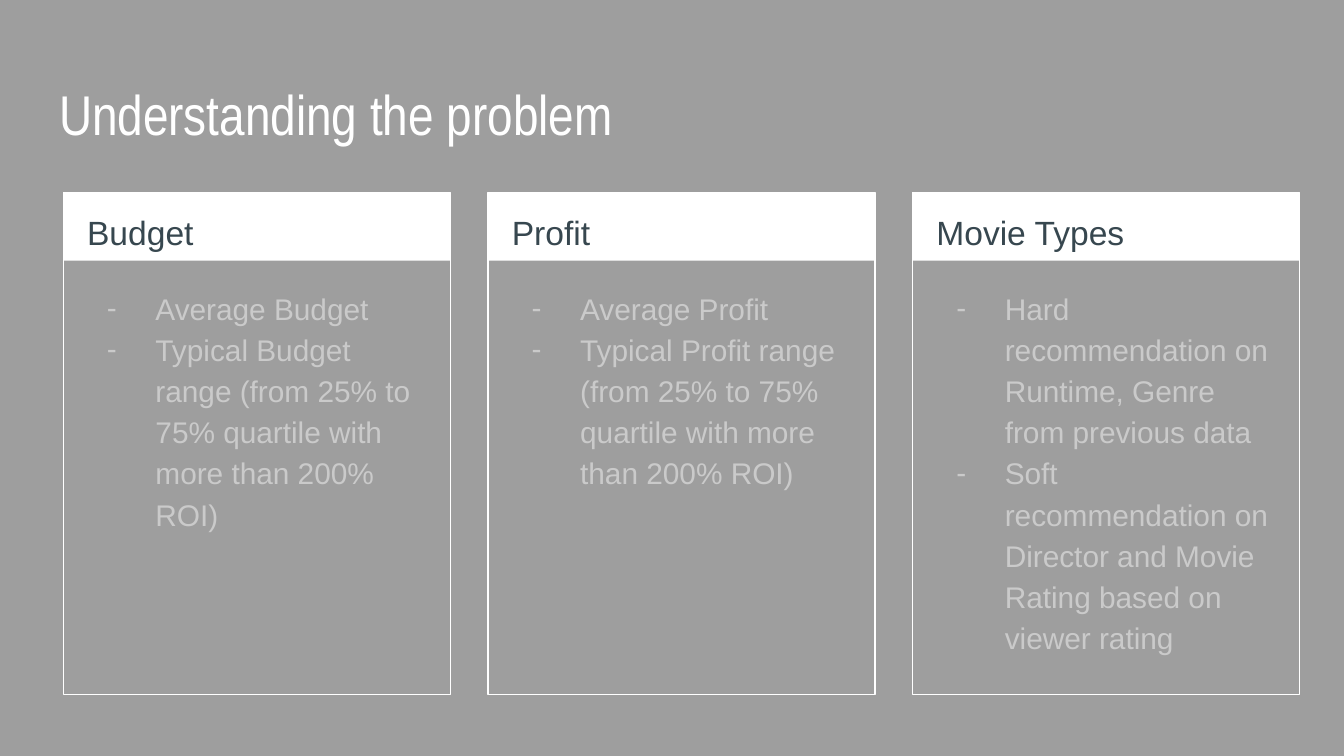
from dataclasses import dataclass

from lxml import etree
from pptx import Presentation
from pptx.dml.color import RGBColor
from pptx.enum.shapes import MSO_SHAPE
from pptx.enum.text import MSO_ANCHOR, MSO_AUTO_SIZE, PP_ALIGN
from pptx.oxml.ns import qn
from pptx.util import Pt

RECT = MSO_SHAPE.RECTANGLE
TOP = MSO_ANCHOR.TOP
LEFT = PP_ALIGN.LEFT
NO_FIT = MSO_AUTO_SIZE.NONE


@dataclass(frozen=True)
class Theme:
    background: str = "9E9E9E"
    light: str = "FFFFFF"
    heading: str = "37474F"
    body: str = "CACACA"
    title_font: str = "Arial Narrow"
    text_font: str = "Arial"
    title_size: int = 30
    heading_size: int = 18
    body_size: int = 16
    border: float = 0.75


THEME = Theme()
FRAME = dict(word_wrap=True, auto_size=NO_FIT, vertical_anchor=TOP,
             margin_left=Pt(7.2), margin_right=Pt(7.2),
             margin_top=Pt(7.2), margin_bottom=Pt(7.2))
CARDS = [
    ("Budget", ["Average Budget",
                "Typical Budget range (from 25% to 75% quartile with more than 200% ROI)"]),
    ("Profit", ["Average Profit",
                "Typical Profit range (from 25% to 75% quartile with more than 200% ROI)"]),
    ("Movie Types", ["Hard recommendation on Runtime, Genre from previous data",
                     "Soft recommendation on Director and Movie Rating based on viewer rating"]),
]


def apply(target, values):
    for name, value in values.items():
        setattr(target, name, value)


def place(sp, left, top, width, height):
    apply(sp, dict(left=Pt(left), top=Pt(top), width=Pt(width), height=Pt(height)))


def write(sp, lines, font, size, color, spacing):
    tf = sp.text_frame
    apply(tf, FRAME)
    for i, line in enumerate(lines):
        p = tf.paragraphs[0] if i == 0 else tf.add_paragraph()
        apply(p, dict(alignment=LEFT, line_spacing=spacing,
                      space_before=Pt(0), space_after=Pt(0)))
        r = p.add_run()
        r.text = line
        apply(r.font, dict(name=font, size=Pt(size), bold=False))
        r.font.color.rgb = RGBColor.from_string(color)
    return tf


def add_dash(p, color):
    pPr = p._p.get_or_add_pPr()
    pPr.set("marL", str(Pt(36)))
    pPr.set("indent", str(Pt(-26)))
    bu_clr = etree.SubElement(pPr, qn("a:buClr"))
    etree.SubElement(bu_clr, qn("a:srgbClr")).set("val", color)
    etree.SubElement(pPr, qn("a:buFont")).set("typeface", THEME.text_font)
    etree.SubElement(pPr, qn("a:buChar")).set("char", "-")


def add_rect(shapes, left, top, width, height, fill=None, line=None):
    sp = shapes.add_shape(RECT, Pt(left), Pt(top), Pt(width), Pt(height))
    sp.shadow.inherit = False
    if fill:
        sp.fill.solid()
        sp.fill.fore_color.rgb = RGBColor.from_string(fill)
    else:
        sp.fill.background()
    if line:
        sp.line.color.rgb = RGBColor.from_string(line)
        sp.line.width = Pt(THEME.border)
    else:
        sp.line.fill.background()


def add_title(s, text, left, top, width, height):
    title = s.shapes.title
    place(title, left, top, width, height)
    write(title, [text], THEME.title_font, THEME.title_size, THEME.light, 1.0)


def add_card(s, heading, items, left, top, width, height):
    frame = s.shapes.add_group_shape().shapes
    add_rect(frame, left, top, width, 36.7, fill=THEME.light)
    add_rect(frame, left, top, width, height, line=THEME.light)
    head = s.shapes.add_textbox(Pt(left + 5.6), Pt(top), Pt(width - 10.8), Pt(36))
    write(head, [heading], THEME.text_font, THEME.heading_size, THEME.heading, 1.15)
    body = s.shapes.add_textbox(Pt(left + 6.2), Pt(top + 42.5),
                                Pt(width - 12.2), Pt(height - 49))
    tf = write(body, items, THEME.text_font, THEME.body_size, THEME.body, 1.15)
    for p in tf.paragraphs:
        add_dash(p, THEME.body)


def build():
    prs = Presentation()
    prs.slide_width, prs.slide_height = Pt(720), Pt(405)
    s = prs.slides.add_slide(prs.slide_layouts[5])
    s.background.fill.solid()
    s.background.fill.fore_color.rgb = RGBColor.from_string(THEME.background)
    add_title(s, "Understanding the problem", 24.5, 35.3, 671, 45.4)
    for i, (heading, items) in enumerate(CARDS):
        add_card(s, heading, items, 34 + 227.5 * i, 103, 207.3, 269)
    prs.save("out.pptx")


build()
